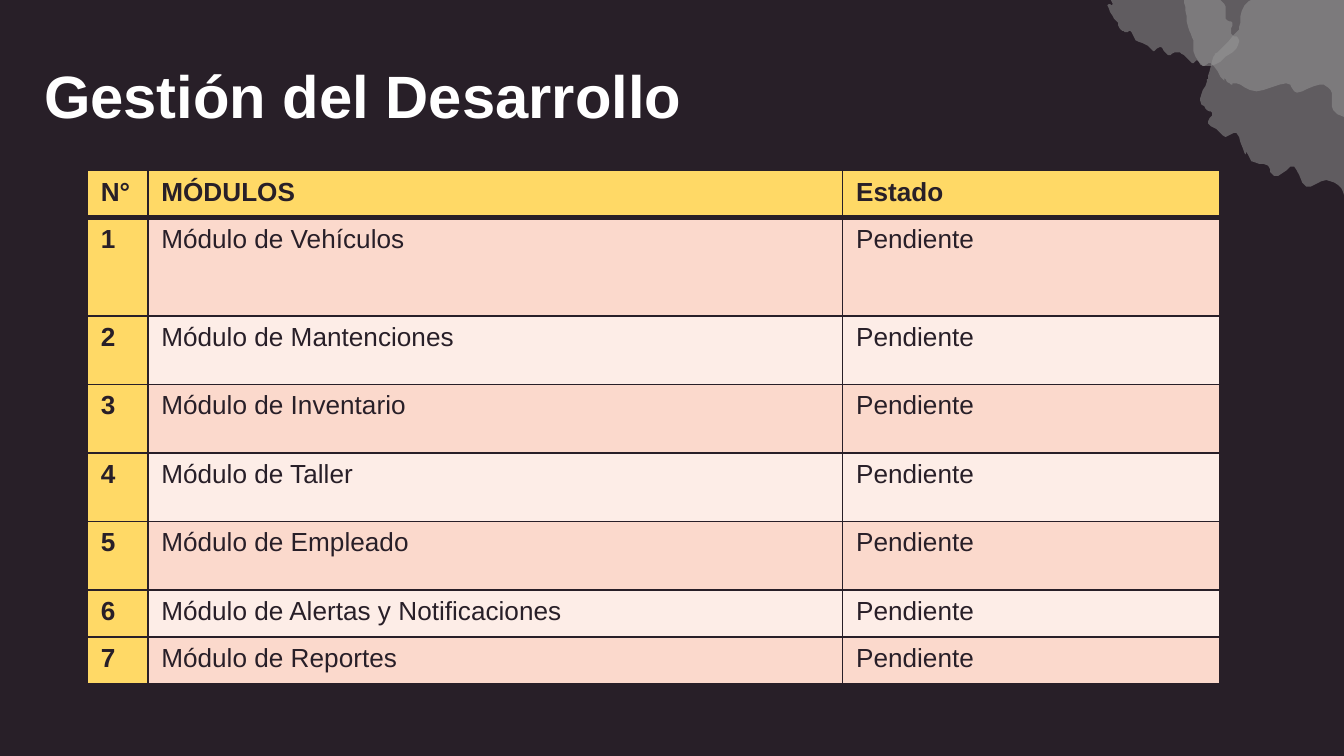
"""Build a slide listing the development status of each module."""
from dataclasses import dataclass

from lxml import etree
from pptx import Presentation
from pptx import util as u
from pptx.dml.color import RGBColor
from pptx.enum import text
from pptx.oxml.ns import qn


@dataclass(frozen=True)
class Theme:
    """Colours, font and type sizes of the slide."""
    dark: str = "281F28"
    white: str = "FFFFFF"
    cloud: str = "999999"
    header: str = "FFD966"
    bands: tuple = ("FBD9CC", "FDEDE7")
    font: str = "Arial"
    title_size: int = 32
    table_size: int = 14
    thin: int = 1
    thick: int = 3


THEME = Theme()

SLIDE_WIDTH = 10
COLUMN_WIDTHS = (0.45, 5.17, 2.81)
ROW_HEIGHTS = (0.35, 0.73, 0.51, 0.51, 0.51, 0.51, 0.35, 0.35)
HEADINGS = ("N°", "MÓDULOS", "Estado")
MODULES = ("Vehículos", "Mantenciones", "Inventario", "Taller", "Empleado",
           "Alertas y Notificaciones", "Reportes")
STATUS = "Pendiente"

SMALL_CLOUD = (
    (46, 0), (36, 4), (26, 6), (15, 11), (15, 19), (2, 27), (1, 28), (6, 36), (2, 37), (7, 47),
    (9, 49), (12, 55), (16, 57), (19, 56), (23, 63), (32, 67), (36, 71), (42, 68), (47, 74),
    (54, 72), (60, 75), (65, 80), (69, 78), (73, 82), (82, 81), (98, 69), (99, 61), (94, 58),
    (95, 50), (90, 47), (90, 38), (84, 30), (82, 24), (78, 23), (77, 17), (70, 18), (69, 8),
    (62, 9), (58, 3), (52, 3))
LARGE_CLOUD = (
    (100, 0), (79, 9), (72, 5), (58, 13), (51, 18), (48, 17), (34, 25), (30, 41), (29, 44),
    (14, 60), (11, 63), (7, 77), (6, 82), (1, 94), (5, 102), (10, 105), (7, 113), (13, 117),
    (20, 123), (28, 120), (34, 135), (36, 134), (39, 141), (51, 144), (54, 150), (59, 152),
    (71, 145), (80, 160), (95, 155), (106, 161), (110, 170), (114, 172), (124, 168), (130, 175),
    (146, 172), (149, 174), (186, 147), (192, 132), (182, 124), (186, 108), (179, 101),
    (180, 81), (170, 63), (168, 52), (160, 50), (159, 36), (145, 38), (146, 17), (132, 19),
    (127, 17), (125, 7), (112, 7), (104, 1))
MIDDLE_CLOUD = (
    (33, 0), (21, 14), (14, 21), (13, 31), (5, 36), (6, 44), (8, 59), (12, 69), (13, 80),
    (19, 88), (25, 86), (34, 98), (35, 97), (40, 102), (44, 101), (59, 107), (81, 101),
    (89, 108), (106, 102), (115, 108), (116, 121), (133, 129), (136, 128), (145, 136),
    (159, 133), (180, 141), (193, 138), (186, 105), (178, 90), (170, 90), (164, 74), (156, 68),
    (152, 68), (135, 63), (133, 45), (127, 41), (118, 32), (113, 23), (101, 13), (84, 6),
    (72, 8), (63, 2), (55, 7), (48, 1), (42, 6))


def style_font(font, size, color, bold):
    """Apply the theme font with the given size, colour and weight."""
    font.name = THEME.font
    font.size = u.Pt(size)
    font.bold = bold
    font.color.rgb = RGBColor.from_string(color)


def smooth_outline(points, steps=4):
    """Return a closed Catmull-Rom curve through the points."""
    curve = []
    for index, start in enumerate(points):
        before = points[index - 1]
        end, after = (points[(index + offset) % len(points)] for offset in (1, 2))
        for step in range(steps):
            t = step / steps
            curve.append(tuple(
                b + t * (c - a) / 2 + t ** 2 * (2 * a - 5 * b + 4 * c - d) / 2
                + t ** 3 * (3 * b - a - 3 * c + d) / 2
                for a, b, c, d in zip(before, start, end, after)))
    return curve


def add_cloud(slide, left, top, points):
    """Draw a translucent cloud from points in hundredths of an inch."""
    outline = smooth_outline(points)
    builder = slide.shapes.build_freeform(*outline[0], scale=u.Inches(0.01))
    builder.add_line_segments(outline[1:], close=True)
    shape = builder.convert_to_shape(u.Inches(left), u.Inches(top))
    shape.shadow.inherit = False
    shape.line.fill.background()
    shape.fill.solid()
    shape.fill.fore_color.rgb = RGBColor.from_string(THEME.cloud)
    color = shape.fill._xPr.find(".//" + qn("a:srgbClr"))
    etree.SubElement(color, qn("a:alpha"), val="50000")


def add_title(slide, left, top, width, height):
    """Place the slide title in its box."""
    box = slide.shapes.add_textbox(*map(u.Inches, (left, top, width, height)))
    frame = box.text_frame
    frame.word_wrap = True
    frame.vertical_anchor = text.MSO_ANCHOR.MIDDLE
    frame.margin_left = frame.margin_right = u.Inches(0.1)
    frame.margin_top = frame.margin_bottom = u.Inches(0.1)
    paragraph = frame.paragraphs[0]
    paragraph.text = "Gestión del Desarrollo"
    style_font(paragraph.font, THEME.title_size, THEME.white, True)


def set_borders(cell, top, bottom):
    """Give a cell dark borders, with its own top and bottom widths."""
    properties = cell._tc.get_or_add_tcPr()
    widths = {"lnL": THEME.thin, "lnR": THEME.thin, "lnT": top, "lnB": bottom}
    for index, (side, width) in enumerate(widths.items()):
        line = etree.Element(qn("a:" + side), w=str(u.Pt(width)))
        fill = etree.SubElement(line, qn("a:solidFill"))
        etree.SubElement(fill, qn("a:srgbClr"), val=THEME.dark)
        properties.insert(index, line)


def add_module_table(slide, left, top):
    """Place the table of modules and their status."""
    rows = [HEADINGS] + [(str(number), f"Módulo de {name}", STATUS)
                         for number, name in enumerate(MODULES, 1)]
    table = slide.shapes.add_table(
        len(rows), len(HEADINGS), u.Inches(left), u.Inches(top),
        u.Inches(sum(COLUMN_WIDTHS)), u.Inches(sum(ROW_HEIGHTS))).table
    for column, width in zip(table.columns, COLUMN_WIDTHS):
        column.width = u.Inches(width)
    for row, height in zip(table.rows, ROW_HEIGHTS):
        row.height = u.Inches(height)
    for row_index, row in enumerate(rows):
        for column_index, value in enumerate(row):
            cell = table.cell(row_index, column_index)
            heading = row_index == 0 or column_index == 0
            cell.fill.solid()
            cell.fill.fore_color.rgb = RGBColor.from_string(
                THEME.header if heading else THEME.bands[(row_index - 1) % 2])
            set_borders(cell, THEME.thick if row_index == 1 else THEME.thin,
                        THEME.thick if row_index == 0 else THEME.thin)
            paragraph = cell.text_frame.paragraphs[0]
            paragraph.text = value
            style_font(paragraph.font, THEME.table_size, THEME.dark, heading)


def main():
    """Build and save the presentation."""
    presentation = Presentation()
    presentation.slide_width = u.Inches(SLIDE_WIDTH)
    presentation.slide_height = u.Inches(SLIDE_WIDTH * 9 / 16)
    slide = presentation.slides.add_slide(presentation.slide_layouts[6])
    slide.background.fill.solid()
    slide.background.fill.fore_color.rgb = RGBColor.from_string(THEME.dark)
    add_cloud(slide, 8.22, -0.33, SMALL_CLOUD)
    add_cloud(slide, 8.92, -0.21, LARGE_CLOUD)
    add_cloud(slide, 8.76, -0.39, MIDDLE_CLOUD)
    add_title(slide, 0.23, 0.32, 8.43, 0.77)
    add_module_table(slide, 0.65, 1.27)
    presentation.save("out.pptx")


if __name__ == "__main__":
    main()
